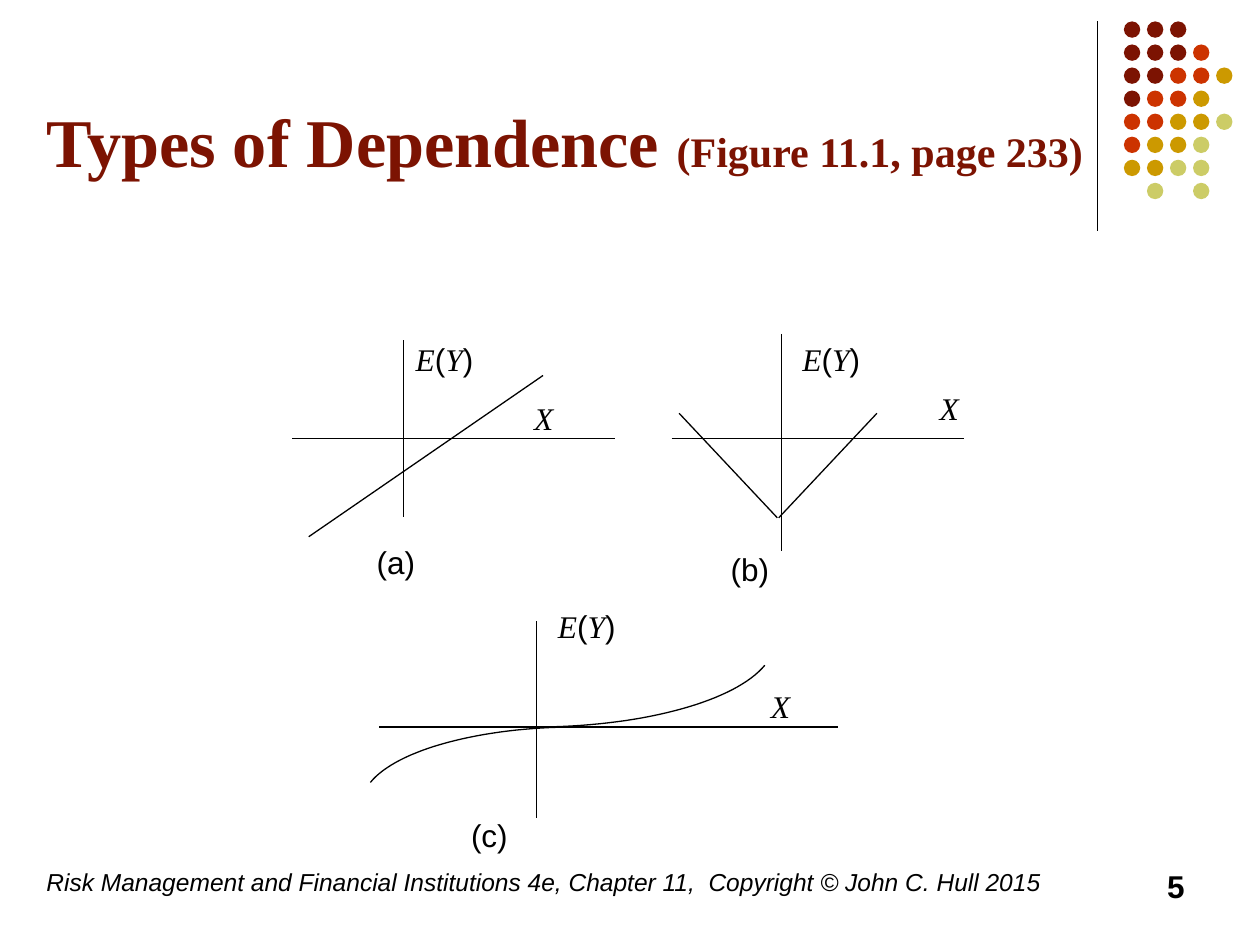
from lxml import etree
from pptx import Presentation
from pptx.dml.color import RGBColor
from pptx.enum.shapes import MSO_CONNECTOR, MSO_SHAPE
from pptx.enum.text import MSO_ANCHOR, MSO_AUTO_SIZE, PP_ALIGN
from pptx.oxml.ns import qn
from pptx.util import Inches, Pt

STRAIGHT, OVAL = MSO_CONNECTOR.STRAIGHT, MSO_SHAPE.OVAL
LEFT, RIGHT = PP_ALIGN.LEFT, PP_ALIGN.RIGHT
SERIF, SANS = "Times New Roman", "Arial"
BLACK, MAROON = "000000", "7C1302"

# Content
TITLE = [("Types of Dependence ", 39), ("(Figure 11.1, page 233)", 24)]
FOOTER = "Risk Management and Financial Institutions 4e, Chapter 11,  Copyright © John C. Hull 2015"
PAGE = "5"

# Corner dots: one letter a dot, a space for a gap
DOT_COLORS = {"m": MAROON, "r": "CC3300", "g": "CC9900", "y": "CCCC66"}
DOT_ROWS = ["mmm", "mmmr", "mmrrg", "mrrg", "rrggy", "rggy", "ggyy", " y y"]
DOT_LEFT, DOT_TOP, DOT_PITCH, DOT_SIZE = 8.92, 0.17, 0.183, 0.13

# Each graph: straight lines, Bézier curves and label boxes (left, top, width)
EY = [("E", SERIF), ("(", SANS), ("Y", SERIF), (")", SANS)]
X = [("X", SERIF)]
GRAPHS = [
    {"lines": [(3.2, 2.7, 3.2, 4.1), (2.32, 3.48, 4.88, 3.48),
               (2.45, 4.26, 4.31, 2.98)],
     "curves": [],
     "labels": [(EY, 3.2, 2.65, 0.78), (X, 4.14, 3.12, 0.54),
                ([("(a)", SANS)], 2.89, 4.26, 0.78)]},
    {"lines": [(6.2, 2.65, 6.2, 4.37), (5.33, 3.48, 7.65, 3.48),
               (5.39, 3.28, 6.17, 4.11), (6.18, 4.11, 6.96, 3.28)],
     "curves": [],
     "labels": [(EY, 6.27, 2.65, 1.01), (X, 7.36, 3.04, 0.31),
                ([("(b)", SANS)], 5.7, 4.32, 0.7)]},
    {"lines": [(4.26, 4.93, 4.26, 6.49), (3.01, 5.77, 6.65, 5.77)],
     "curves": [[(4.58, 5.77), (3.82, 5.77), (3.15, 5.95), (2.94, 6.21)],
                [(4.3, 5.77), (5.13, 5.76), (5.84, 5.56), (6.07, 5.28)]],
     "labels": [(EY, 4.33, 4.77, 1.01), (X, 6.02, 5.4, 0.47),
                ([("(c)", SANS)], 3.64, 6.43, 0.7)]},
]
LABEL_HEIGHT = 0.4
CURVE_STEPS = 32


def rgb(color):
    return RGBColor.from_string(color)


def add_line(s, x1, y1, x2, y2):
    line = s.shapes.add_connector(
        STRAIGHT, Inches(x1), Inches(y1), Inches(x2), Inches(y2))
    line.line.color.rgb = rgb(BLACK)
    line.line.width = Pt(0.75)
    etree.SubElement(line._element.spPr, qn("a:effectLst"))


def add_curve(s, points):
    def at(t):
        weights = ((1 - t) ** 3, 3 * t * (1 - t) ** 2, 3 * t * t * (1 - t), t ** 3)
        return tuple(Inches(sum(w * p[axis] for w, p in zip(weights, points)))
                     for axis in (0, 1))

    path = [at(i / CURVE_STEPS) for i in range(CURVE_STEPS + 1)]
    builder = s.shapes.build_freeform(*path[0])
    builder.add_line_segments(path[1:], close=False)
    sp = builder.convert_to_shape()
    sp.fill.background()
    sp.line.color.rgb = rgb(BLACK)
    sp.line.width = Pt(0.75)
    sp.shadow.inherit = False


def add_text(s, runs, left, top, width, height, size=18, align=LEFT,
             bold=False, italic=False):
    sp = s.shapes.add_textbox(
        Inches(left), Inches(top), Inches(width), Inches(height))
    tf = sp.text_frame
    tf.word_wrap = True
    p = tf.paragraphs[0]
    p.alignment = align
    p.font.size = Pt(size)
    p.font.bold = bold
    p.font.color.rgb = rgb(BLACK)
    for text, font in runs:
        r = p.add_run()
        r.text = text
        r.font.name = font
        r.font.italic = italic or font == SERIF


prs = Presentation()
prs.slide_width, prs.slide_height = Inches(10), Inches(7.5)
s = prs.slides.add_slide(prs.slide_layouts[5])

# Corner decoration
add_line(s, 8.71, 0.17, 8.71, 1.83)
for row, letters in enumerate(DOT_ROWS):
    for col, letter in enumerate(letters):
        if letter == " ":
            continue
        dot = s.shapes.add_shape(
            OVAL, Inches(DOT_LEFT + col * DOT_PITCH),
            Inches(DOT_TOP + row * DOT_PITCH), Inches(DOT_SIZE), Inches(DOT_SIZE))
        dot.fill.solid()
        dot.fill.fore_color.rgb = rgb(DOT_COLORS[letter])
        dot.line.fill.background()
        dot.shadow.inherit = False

# Title
title = s.shapes.title
title.left, title.top = Inches(0.27), Inches(0.55)
title.width, title.height = Inches(9.03), Inches(0.94)
tf = title.text_frame
tf.auto_size = MSO_AUTO_SIZE.NONE
tf.vertical_anchor = MSO_ANCHOR.BOTTOM
p = tf.paragraphs[0]
p.alignment = LEFT
p.font.name = SERIF
p.font.bold = True
p.font.color.rgb = rgb(MAROON)
for text, size in TITLE:
    r = p.add_run()
    r.text = text
    r.font.size = Pt(size)

# Footer and page number
add_text(s, [(FOOTER, SANS)], 0.27, 6.83, 8.27, 0.5, size=14, italic=True)
add_text(s, [(PAGE, SANS)], 7.17, 6.83, 2.33, 0.5, align=RIGHT, bold=True)

# Graphs
for graph in GRAPHS:
    for ends in graph["lines"]:
        add_line(s, *ends)
    for points in graph["curves"]:
        add_curve(s, points)
    for runs, left, top, width in graph["labels"]:
        add_text(s, runs, left, top, width, LABEL_HEIGHT)

prs.save("out.pptx")
